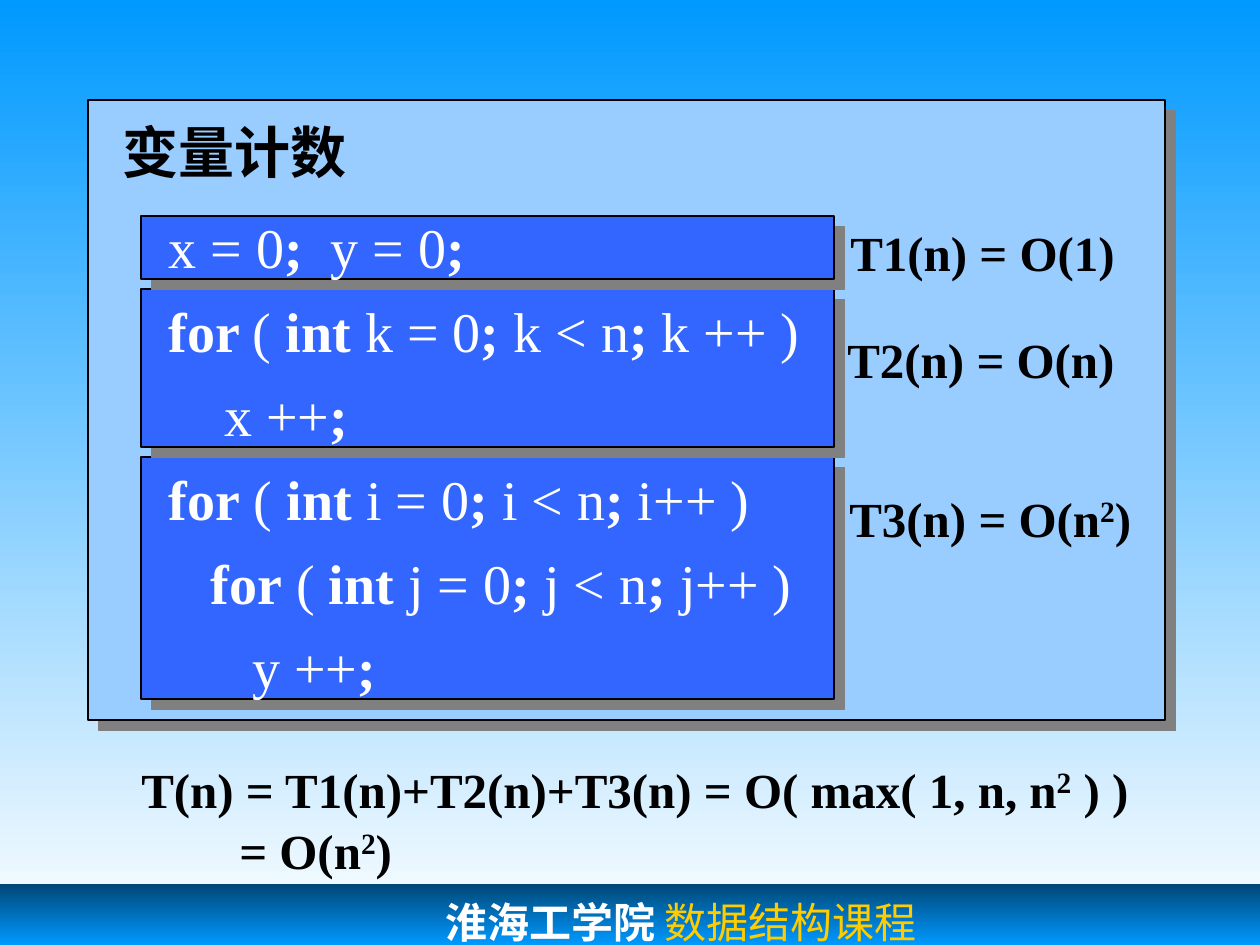
import copy
from lxml import etree
from pptx import Presentation, util as u
from pptx.dml.color import RGBColor
from pptx.enum import shapes, text
from pptx.oxml.ns import qn

PX = u.Inches(1) / 126
COLORS = {
    "sky": "0099FF", "deep": "004776", "panel": "99CCFF", "code": "3366FF",
    "shadow": "808080", "black": "000000", "white": "FFFFFF", "gold": "FFCC00",
}
SERIF = "Times New Roman"


def px(n):
    return u.Emu(round(n * PX))


def rgb(name):
    return RGBColor.from_string(COLORS[name])


def set_gradient(fill, names):
    """Fill from top to bottom with evenly spaced colours."""
    fill.gradient()
    fill.gradient_angle = 270
    gs_list = fill.gradient_stops[0]._gs.getparent()
    while len(gs_list) < len(names):
        gs_list.append(copy.deepcopy(gs_list[-1]))
    for i, (gs, name) in enumerate(zip(list(gs_list), names)):
        gs.clear()
        gs.set("pos", str(100000 * i // (len(names) - 1)))
        etree.SubElement(gs, qn("a:srgbClr"), val=COLORS[name])


def add_rect(s, box):
    sp = s.shapes.add_shape(shapes.MSO_SHAPE.RECTANGLE, *map(px, box))
    sp.shadow.inherit = False
    return sp


def add_card(s, box, color):
    """Outlined rectangle with a hard grey shadow to the lower right."""
    sp = add_rect(s, box)
    sp.fill.solid()
    sp.fill.fore_color.rgb = rgb(color)
    sp.line.color.rgb = rgb("black")
    sp.line.width = u.Pt(0.75)
    effects = sp._element.spPr.find(qn("a:effectLst"))
    shadow = etree.SubElement(effects, qn("a:outerShdw"), dist=str(u.Pt(8.5)),
                              dir="2700000", algn="ctr", rotWithShape="0")
    etree.SubElement(shadow, qn("a:srgbClr"), val=COLORS["shadow"])


def add_run(p, words, color, **fmt):
    r = p.add_run()
    r.text = words
    r.font.color.rgb = rgb(color)
    for key, value in fmt.items():
        setattr(r.font, key, value)
    return r


def add_text(s, box, lines, size, color="black", bold=True, mark=None, spacing=None):
    """Lines of text; the parts between bars are changed by mark(run)."""
    sp = s.shapes.add_textbox(*map(px, box))
    tf = sp.text_frame
    tf.word_wrap = False
    tf.auto_size = text.MSO_AUTO_SIZE.SHAPE_TO_FIT_TEXT
    for i, line in enumerate(lines):
        p = tf.paragraphs[0] if i == 0 else tf.add_paragraph()
        p.line_spacing = spacing
        for j, part in enumerate(line.split("|")):
            if part:
                r = add_run(p, part, color, name=SERIF, size=u.Pt(size), bold=bold)
                if j % 2:
                    mark(r)
    return tf


def embolden(r):
    r.font.bold = True


def superscript(r):
    r.font.size = u.Pt(29)
    r.font._element.set("baseline", "30000")


def indent(p, left):
    p._p.get_or_add_pPr().set("marL", str(px(left)))


def add_footer(s, box):
    sp = add_rect(s, box)
    set_gradient(sp.fill, ["deep", "sky", "deep"])
    sp.line.fill.background()
    tf = sp.text_frame
    tf.word_wrap = True
    tf.vertical_anchor = text.MSO_ANCHOR.TOP
    tf.margin_top = px(13)
    p = tf.paragraphs[0]
    p.alignment = text.PP_ALIGN.LEFT
    indent(p, 433)
    add_run(p, "淮海工学院", "white", name="Courier New", size=u.Pt(24), bold=True)
    add_run(p, " 数据结构课程", "gold", name=SERIF, size=u.Pt(24), bold=False)


def add_code_panel(s, box):
    x, y, w, h = box
    add_card(s, box, "panel")
    for top, height in ((357, 242), (189, 158), (116, 63)):
        add_card(s, (x + 53, y + top, 693, height), "code")
    add_text(s, (x + 22, y + 11, 270, 81), ["变量计数"], 32)
    code = [
        "x = 0|;|  y = 0|;|",
        "|for |(| int| k = 0|;| k < n|;| k ++ )",
        "    x ++|;|",
        "|for| (| int |i = 0|;| i < n|;| i++ )",
        "   |for| (| int| j = 0|;| j < n|;| j++ )",
        "      y ++|;|",
    ]
    add_text(s, (x + 68, y + 90, 664, 517), code, 32, "white", False, embolden, 1.25)
    costs = (
        (750, 116, "T1(n) = O(1)"),
        (747, 223, "T2(n) = O(n)"),
        (749, 381, "T3(n) = O(n|2|)"),
    )
    for left, top, cost in costs:
        add_text(s, (x + left, y + top, w - left, 72), [cost], 28, mark=superscript)


def add_total(s, box):
    lines = ["T(n) = T1(n)+T2(n)+T3(n) = O( max( 1, n, n|2| ) )", "= O(n|2|)"]
    tf = add_text(s, box, lines, 28, mark=superscript)
    indent(tf.paragraphs[1], 98)


def main():
    prs = Presentation()
    prs.slide_width, prs.slide_height = px(1260), px(945)
    s = prs.slides.add_slide(prs.slide_layouts[6])
    set_gradient(s.background.fill, ["sky", "white"])
    add_footer(s, (0, 884, 1260, 122))
    add_code_panel(s, (88, 100, 1077, 620))
    add_total(s, (129, 752, 1020, 135))
    prs.save("out.pptx")


if __name__ == "__main__":
    main()
